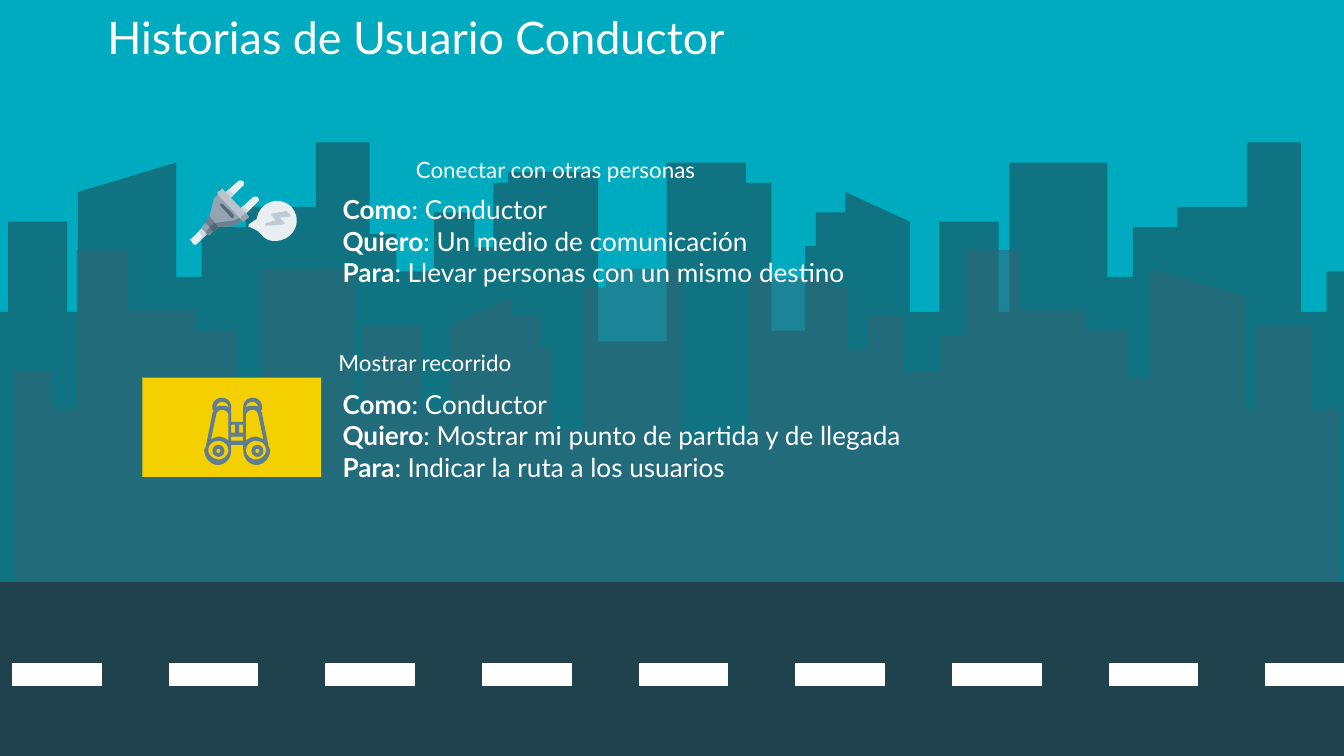
import lxml.etree
import pptx
import pptx.dml.color
import pptx.enum.dml
import pptx.enum.shapes
import pptx.enum.text
import pptx.oxml.ns
import pptx.util

RGB = pptx.dml.color.RGBColor
SHAPE = pptx.enum.shapes.MSO_SHAPE
ANCHOR = pptx.enum.text.MSO_ANCHOR
ALIGN = pptx.enum.text.PP_ALIGN
qn = pptx.oxml.ns.qn

PX = 9144  # EMU: 100 px to the inch
SLIDE_WIDTH = 1000 * PX
SLIDE_HEIGHT = SLIDE_WIDTH * 9 // 16
SKY = RGB(0x00, 0xAB, 0xBF)
ASPHALT = RGB(0x1F, 0x42, 0x4C)
NEAR_CITY = RGB(0x33, 0x65, 0x74)
WHITE = RGB(0xFF, 0xFF, 0xFF)
YELLOW = RGB(0xF4, 0xD0, 0x00)
STEEL = RGB(0x5F, 0x7D, 0x95)
PALE = RGB(0xE9, 0xEE, 0xF1)
PALE_SHADE = RGB(0xCD, 0xD7, 0xDF)
LIGHT_GREY = RGB(0xBA, 0xC2, 0xCB)
GREY = RGB(0x94, 0xA3, 0xB0)
MID_GREY = RGB(0x6A, 0x7F, 0x91)
DARK_GREY = RGB(0x51, 0x66, 0x7B)
SLOT = RGB(0x53, 0x68, 0x7D)
BOLT = RGB(0xBE, 0xCB, 0xD5)

# Roofs from left to right: right edge, height at left, height at right if sloped
FAR_ROOFS = [
    (6, 232), (50, 165), (58, 232), (131, 143, 121), (150, 206), (183, 169), (235, 154),
    (275, 106), (295, 174), (323, 202), (353, 158), (367, 184), (378, 136), (445, 128),
    (496, 254), (555, 121), (574, 136), (599, 246), (607, 183), (629, 158), (677, 143, 165),
    (699, 232), (743, 165), (751, 232), (824, 121), (843, 206), (876, 169), (928, 154),
    (968, 106), (987, 232), (1016, 202)]
NEAR_ROOFS = [
    (39, 277), (57, 305), (95, 186), (145, 231), (176, 246), (194, 281), (264, 200),
    (271, 305), (314, 242), (335, 305), (381, 242, 221), (402, 235), (410, 259), (434, 320),
    (451, 214), (508, 200), (557, 327), (620, 207), (631, 214), (645, 260), (673, 235),
    (700, 277), (719, 250), (758, 186), (807, 231), (839, 246), (856, 281), (927, 200, 221),
    (934, 305), (976, 242), (997, 305)]

# In outlines a pair is a corner, and six numbers are a Bézier curve
PRONG = [(192, 147), (191, 146, 189, 146, 188, 147), (178, 156), (182, 160), (191, 151),
         (193, 150, 193, 148, 192, 147)]
PRONG_BASE = [(181, 153), (178, 156), (182, 160), (185, 157)]
PLUG_BODY = [
    (PALE, [(151, 169), (142, 178), (141, 178, 141, 179, 142, 179), (144, 182),
            (144, 182, 145, 182, 146, 182), (155, 173)]),
    (PALE_SHADE, [(151, 169), (148, 172), (151, 177), (155, 173)]),
    (GREY, [(154, 165), (150, 169), (150, 170), (154, 174), (154, 175, 155, 175, 156, 175),
            (160, 171)]),
    (MID_GREY, [(157, 168), (153, 173), (154, 174), (154, 175, 155, 175, 156, 174), (160, 171)]),
    (MID_GREY, [(158, 160), (153, 164), (153, 166), (159, 172), (160, 172), (164, 168)]),
    (DARK_GREY, [(161, 165), (156, 169), (158, 172), (160, 172), (164, 168)]),
    (GREY, [(162, 145), (159, 148), (159, 149), (156, 161), (163, 169), (176, 168),
            (177, 167), (180, 164)]),
    (MID_GREY, [(178, 162), (175, 164), (160, 166), (163, 169), (176, 168), (177, 167),
                (180, 164)]),
    (LIGHT_GREY, [(166, 141), (166, 140, 165, 140, 165, 141), (162, 143),
                  (162, 143, 162, 144, 162, 145), (180, 164), (181, 165, 182, 165, 182, 164),
                  (185, 162), (185, 161)]),
    (GREY, [(185, 161), (183, 158), (179, 162), (180, 164), (181, 165, 182, 165, 182, 164),
            (185, 162)]),
    (PALE, [(217, 154), (208, 145, 193, 150, 191, 163), (185, 167),
            (185, 168, 185, 168, 185, 169), (186, 169), (192, 172),
            (193, 173, 194, 174, 195, 175), (198, 179, 203, 180, 208, 179),
            (220, 177, 225, 163, 217, 154)]),
    (SLOT, [(166, 152), (165, 151, 163, 152, 164, 153), (172, 162),
            (173, 163, 175, 161, 174, 160)]),
    (BOLT, [(213, 157), (202, 159), (202, 160), (205, 164), (198, 166), (197, 167),
            (198, 168), (211, 167), (212, 166), (208, 162), (216, 161), (216, 160)]),
]
BARREL = [
    [(165, 296), (161, 296, 158, 299, 158, 303), (158, 304, 158, 305, 159, 306),
     (158, 307, 158, 307, 158, 308), (153, 333), (152, 334, 152, 335, 152, 335),
     (152, 341, 157, 346, 162, 346), (168, 346, 172, 341, 172, 335), (172, 303),
     (172, 299, 169, 296, 165, 296)],
    [(165, 299), (168, 299, 170, 301, 170, 303), (168, 302, 167, 302, 165, 302),
     (164, 302, 162, 302, 161, 303), (161, 301, 163, 299, 165, 299)],
    [(165, 305), (168, 305, 170, 307, 170, 309), (170, 328), (168, 326, 165, 325, 163, 325),
     (161, 325, 159, 326, 157, 327), (161, 308), (162, 306, 163, 305, 165, 305)],
    [(163, 328), (166, 328, 170, 331, 170, 335), (170, 339, 166, 342, 163, 342),
     (159, 342, 155, 339, 155, 335), (155, 331, 158, 328, 163, 328)]]
BRIDGE = [(172, 314, 181, 331), (172, 316, 175, 322), (178, 316, 181, 322), (172, 325, 181, 328)]


def skyline(left, base, roofs):
    points = [(left, base)]
    for right, top, *slope in roofs:
        points += [(left, top), (right, slope[0] if slope else top)]
        left = right
    return points + [(left, base)]


def flatten(outline, steps=8):
    """Turn the curves of an outline into short straight pieces."""
    points = [outline[0]]
    for piece in outline[1:]:
        if len(piece) == 2:
            points.append(piece)
            continue
        controls = [points[-1], piece[:2], piece[2:4], piece[4:]]
        for step in range(1, steps + 1):
            t = step / steps
            weights = ((1 - t) ** 3, 3 * t * (1 - t) ** 2, 3 * t * t * (1 - t), t ** 3)
            points.append(tuple(sum(w * c[axis] for w, c in zip(weights, controls))
                                for axis in (0, 1)))
    return points


def shift(outline, dx, dy):
    return [tuple(v + (dy if i % 2 else dx) for i, v in enumerate(piece)) for piece in outline]


def mirror(outline, axis_sum):
    return [tuple(v if i % 2 else axis_sum - v for i, v in enumerate(piece)) for piece in outline]


def rectangle(left, top, right, bottom):
    return [(left, top), (right, top), (right, bottom), (left, bottom)]


class Painter:
    def __init__(self, slide, font):
        self.slide = slide
        self.font = font

    def finish(self, shape, color, opacity=None):
        shape.shadow.inherit = False
        shape.fill.solid()
        shape.fill.fore_color.rgb = color
        shape.line.fill.background()
        if opacity:
            fill_color = shape._element.spPr.find(".//" + qn("a:srgbClr"))
            lxml.etree.SubElement(fill_color, qn("a:alpha"), val=str(opacity * 1000))
        return shape

    def shape(self, kind, box, color):
        return self.finish(self.slide.shapes.add_shape(kind, *(v * PX for v in box)), color)

    def freeform(self, outlines, color, opacity=None):
        builder = None
        for outline in outlines:
            start, *rest = [(x * PX, y * PX) for x, y in flatten(outline)]
            if builder is None:
                builder = self.slide.shapes.build_freeform(*start)
            else:
                builder.move_to(*start)
            builder.add_line_segments(rest, close=True)
        self.finish(builder.convert_to_shape(), color, opacity)

    def dashed_line(self, left, right, y, color, width):
        line = self.slide.shapes.add_connector(
            pptx.enum.shapes.MSO_CONNECTOR.STRAIGHT, left * PX, y * PX, right * PX, y * PX)
        line.line.color.rgb = color
        line.line.width = pptx.util.Pt(width)
        line.line.dash_style = pptx.enum.dml.MSO_LINE.DASH
        lxml.etree.SubElement(line._element.spPr, qn("a:effectLst"))

    def text(self, box, paragraphs, size, anchor=ANCHOR.MIDDLE, align=ALIGN.LEFT, hanging=True):
        """Each paragraph is a list of (text, bold) runs."""
        frame = self.slide.shapes.add_textbox(*(v * PX for v in box)).text_frame
        frame.word_wrap = True
        frame.vertical_anchor = anchor
        frame.margin_left = frame.margin_right = frame.margin_top = frame.margin_bottom = 10 * PX
        for index, runs in enumerate(paragraphs):
            paragraph = frame.add_paragraph() if index else frame.paragraphs[0]
            paragraph.alignment = align
            paragraph.font.name = self.font
            paragraph.font.size = pptx.util.Pt(size)
            paragraph.font.color.rgb = WHITE
            if hanging:
                properties = paragraph._p.get_or_add_pPr()
                properties.set("marL", str(50 * PX))
                properties.set("indent", str(-35 * PX))
            for words, bold in runs:
                run = paragraph.add_run()
                run.text = words
                run.font.bold = bold

    def story(self, box, want, purpose):
        parts = {"Como": "Conductor", "Quiero": want, "Para": purpose}
        self.text(box, [[(key, True), (": " + value, False)] for key, value in parts.items()],
                  14, ANCHOR.TOP)


def main():
    presentation = pptx.Presentation()
    presentation.slide_width, presentation.slide_height = SLIDE_WIDTH, SLIDE_HEIGHT
    slide = presentation.slides.add_slide(presentation.slide_layouts[6])
    slide.background.fill.solid()
    slide.background.fill.fore_color.rgb = SKY
    painter = Painter(slide, "Lato")

    painter.freeform([skyline(-16, 438, FAR_ROOFS)], ASPHALT, 53)
    painter.freeform([skyline(11, 463, NEAR_ROOFS)], NEAR_CITY, 53)
    painter.shape(SHAPE.RECTANGLE, (0, 433, 1000, 138), ASPHALT)
    painter.dashed_line(9, 1022, 502, WHITE, 12)

    painter.story((230, 134, 595, 74), "Un medio de comunicación",
                  "Llevar personas con un mismo destino")
    painter.text((70, -4, 844, 63), [[("Historias de Usuario Conductor", False)]], 24,
                 hanging=False)
    painter.shape(SHAPE.RECTANGLE, (106, 281, 133, 74), YELLOW)
    painter.text((189, 111, 434, 30), [[("Conectar con otras personas", False)]], 12,
                 align=ALIGN.CENTER)
    painter.text((227, 255, 434, 30), [[("Mostrar recorrido", False)]], 12)
    painter.story((230, 279, 595, 84), "Mostrar mi punto de partida y de llegada",
                  "Indicar la ruta a los usuarios")

    for dx, dy in ((0, 0), (-11, -12)):
        painter.freeform([shift(PRONG, dx, dy)], PALE)
        painter.freeform([shift(PRONG_BASE, dx, dy)], PALE_SHADE)
    for color, outline in PLUG_BODY:
        painter.freeform([outline], color)

    barrels = BARREL + [mirror(outline, 353) for outline in BARREL]
    painter.freeform(barrels + [rectangle(*box) for box in BRIDGE], STEEL)
    for left in (187, 158):
        painter.shape(SHAPE.DONUT, (left, 331, 9, 9), STEEL).adjustments[0] = 0.33

    presentation.save("out.pptx")


if __name__ == "__main__":
    main()
